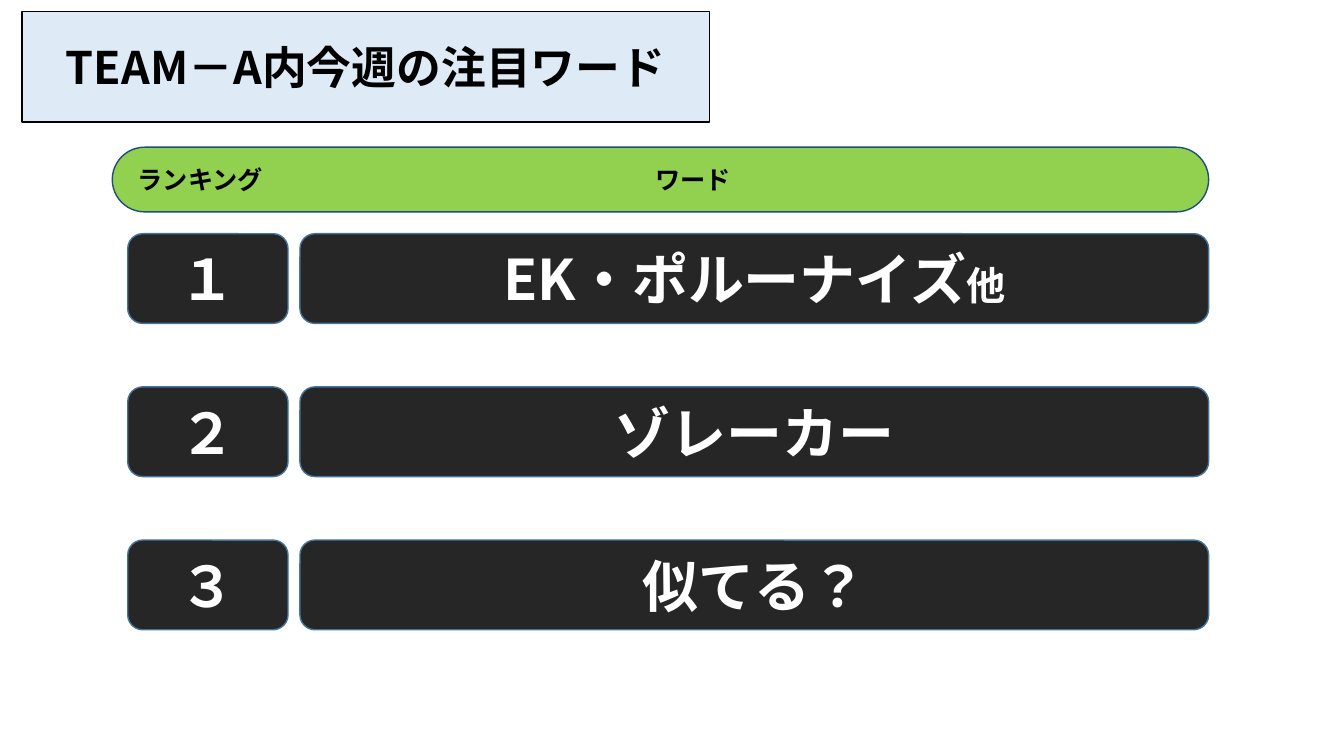
from pptx import Presentation, util as u
from pptx.dml.color import RGBColor
from pptx.enum import lang, shapes, text
from pptx.oxml.ns import qn
from lxml import etree

FONT = "Noto Sans CJK JP"


def box(s, kind, at, fill, line):
    sp = s.shapes.add_shape(kind, *[u.Cm(v) for v in at])
    sp.shadow.inherit = False
    sp.fill.solid()
    sp.fill.fore_color.rgb = RGBColor.from_string(fill)
    sp.line.color.rgb = RGBColor.from_string(line)
    sp.line.width = u.Pt(1)
    return sp


def write(sp, runs, color, align, wrap=True):
    tf = sp.text_frame
    tf.word_wrap = wrap
    p = tf.paragraphs[0]
    p.alignment = align
    for words, size in runs:
        r = p.add_run()
        r.text = words
        fmt = {"size": u.Pt(size), "bold": True, "name": FONT,
               "language_id": lang.MSO_LANGUAGE_ID.JAPANESE}
        for key, value in fmt.items():
            setattr(r.font, key, value)
        r.font.color.rgb = RGBColor.from_string(color)
        etree.SubElement(r.font._element, qn("a:ea"), typeface=FONT)


prs = Presentation()
prs.slide_width, prs.slide_height = u.Cm(33.87), u.Cm(19.05)
s = prs.slides.add_slide(prs.slide_layouts[6])
rect = shapes.MSO_SHAPE.RECTANGLE
rounded = shapes.MSO_SHAPE.ROUNDED_RECTANGLE
center, left = text.PP_ALIGN.CENTER, text.PP_ALIGN.LEFT

title = box(s, rect, (0.56, 0.29, 17.32, 2.79), "DEEBF7", "000000")
write(title, [("TEAM－A内今週の注目ワード", 32)], "000000", center)

header = box(s, rounded, (2.83, 3.71, 27.63, 1.63), "92D050", "1F4E79")
header.adjustments[0] = 0.5
for label, x, w in [("ランキング", 3.22, 3.71), ("ワード", 16.26, 2.44)]:
    tb = s.shapes.add_textbox(u.Cm(x), u.Cm(4.01), u.Cm(w), u.Cm(1.02))
    tb.text_frame.auto_size = text.MSO_AUTO_SIZE.SHAPE_TO_FIT_TEXT
    write(tb, [(label, 18)], "000000", left, False)

ranking = [
    ("１", [("EK・ポルーナイズ", 40), ("他", 28)]),
    ("２", [("ゾレーカー", 40)]),
    ("３", [("似てる？", 40)]),
]
for i, (rank, word) in enumerate(ranking):
    y = 5.89 + 3.86 * i
    for x, w, runs in [(3.22, 4.04, [(rank, 40)]), (7.56, 22.9, word)]:
        sp = box(s, rounded, (x, y, w, 2.26), "262626", "43739E")
        write(sp, runs, "FFFFFF", center)

prs.save("out.pptx")
